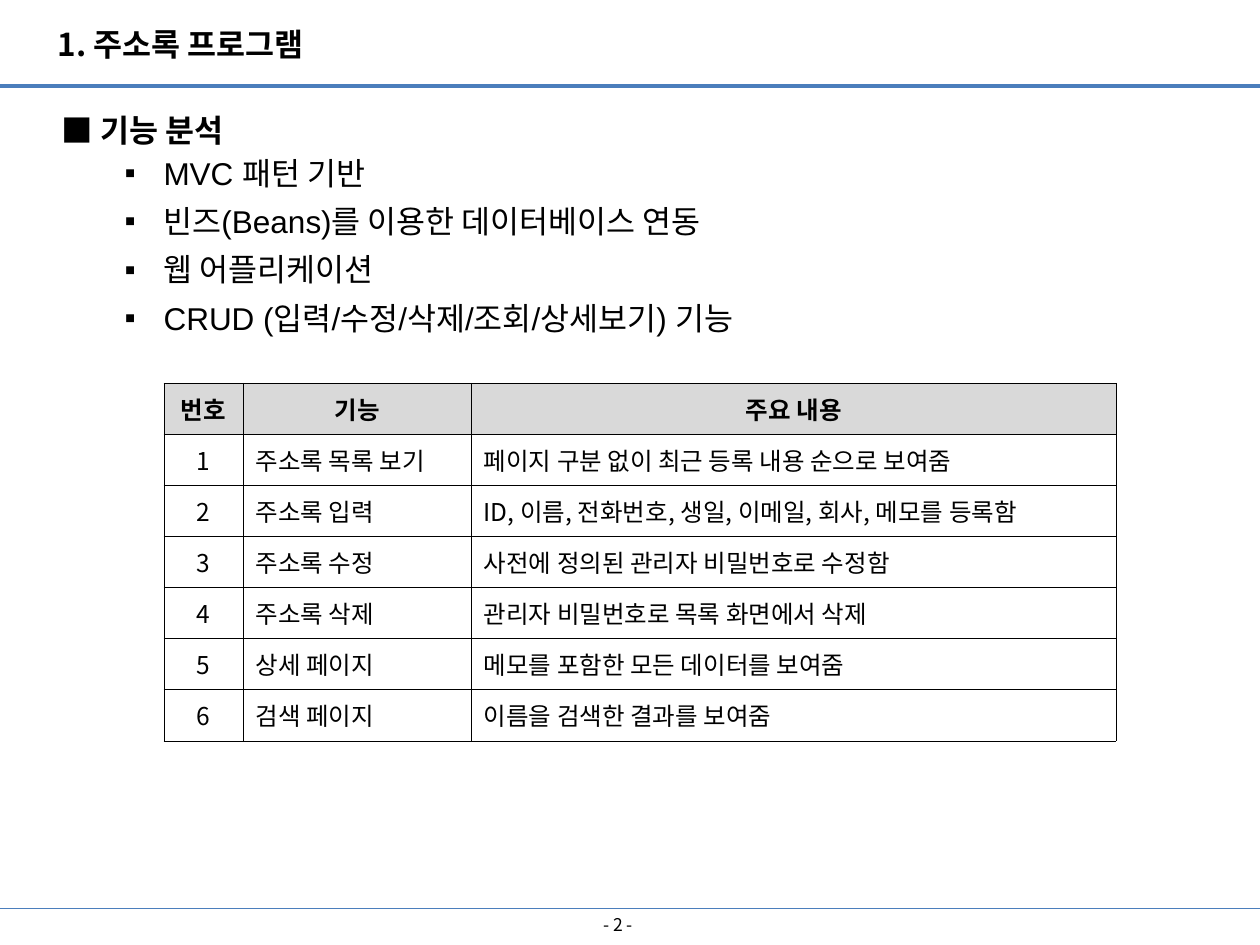
"""Build the address book feature analysis slide."""
from lxml.etree import SubElement
from pptx import Presentation
from pptx.dml.color import RGBColor
from pptx.enum.shapes import MSO_CONNECTOR
from pptx.enum.text import MSO_ANCHOR, MSO_AUTO_SIZE, PP_ALIGN
from pptx.oxml import parse_xml
from pptx.oxml.ns import nsdecls, qn
from pptx.util import Inches, Pt

KOREAN = "Noto Sans CJK KR"


def color(hex_string):
    return RGBColor.from_string(hex_string)


def add_run(p, text, size, bold=False, font=KOREAN):
    r = p.add_run()
    r.text = text
    r.font.size = Pt(size)
    r.font.bold = bold
    r.font.name = font
    r.font.color.rgb = color("000000")
    SubElement(r.font._element, qn("a:ea")).set("typeface", KOREAN)


prs = Presentation()
prs.slide_width, prs.slide_height = Inches(10), Inches(7.5)
s = prs.slides.add_slide(prs.slide_layouts[5])

for y, width in [(0.68, 2.25), (7.21, 0.75)]:
    line = s.shapes.add_connector(
        MSO_CONNECTOR.STRAIGHT, 0, Inches(y), Inches(10), Inches(y))
    line.line.color.rgb = color("4B7EBC")
    line.line.width = Pt(width)
    SubElement(line._element.spPr, qn("a:effectLst"))

title = s.shapes.title
title.left, title.top = Inches(0.36), Inches(0.15)
title.width, title.height = Inches(2.36), Inches(0.4)
tf = title.text_frame
tf.word_wrap = False
tf.auto_size = MSO_AUTO_SIZE.NONE
tf.vertical_anchor = MSO_ANCHOR.TOP
p = tf.paragraphs[0]
p.alignment = PP_ALIGN.LEFT
add_run(p, "1. 주소록 프로그램", 18, True)

features = [
    "MVC 패턴 기반",
    "빈즈(Beans)를 이용한 데이터베이스 연동",
    "웹 어플리케이션",
    "CRUD (입력/수정/삭제/조회/상세보기) 기능",
]
sp = s.shapes.add_textbox(Inches(0.39), Inches(0.68), Inches(5.96), Inches(2.41))
tf = sp.text_frame
tf.word_wrap = True
p = tf.paragraphs[0]
p.line_spacing = 1.5
add_run(p, "■ 기능 분석", 18, True, "Arial")
for feature in features:
    p = tf.add_paragraph()
    p.level = 1
    p.space_before = p.space_after = Pt(3)
    pPr = p._p.get_or_add_pPr()
    pPr.set("marL", str(Inches(0.81)))
    pPr.set("indent", str(Inches(-0.31)))
    SubElement(pPr, qn("a:buFont")).set("typeface", "Arial")
    SubElement(pPr, qn("a:buChar")).set("char", "▪")
    add_run(p, feature, 18, font="Arial")

sp = s.shapes.add_textbox(Inches(3.74), Inches(7.21), Inches(2.33), Inches(0.26))
tf = sp.text_frame
tf.word_wrap = True
tf.vertical_anchor = MSO_ANCHOR.MIDDLE
p = tf.paragraphs[0]
p.alignment = PP_ALIGN.CENTER
add_run(p, "- 2 -", 10)

rows = [
    ("번호", "기능", "주요 내용"),
    ("1", "주소록 목록 보기", "페이지 구분 없이 최근 등록 내용 순으로 보여줌"),
    ("2", "주소록 입력", "ID, 이름, 전화번호, 생일, 이메일, 회사, 메모를 등록함"),
    ("3", "주소록 수정", "사전에 정의된 관리자 비밀번호로 수정함"),
    ("4", "주소록 삭제", "관리자 비밀번호로 목록 화면에서 삭제"),
    ("5", "상세 페이지", "메모를 포함한 모든 데이터를 보여줌"),
    ("6", "검색 페이지", "이름을 검색한 결과를 보여줌"),
]
table = s.shapes.add_table(
    len(rows), 3, Inches(1.3), Inches(3.04), Inches(7.56), Inches(2.84)).table
for column, width in zip(table.columns, [0.63, 1.81, 5.12]):
    column.width = Inches(width)
for i, row in enumerate(rows):
    for j, text in enumerate(row):
        cell = table.cell(i, j)
        cell.vertical_anchor = MSO_ANCHOR.MIDDLE
        tcPr = cell._tc.get_or_add_tcPr()
        for side in "LRTB":
            tcPr.append(parse_xml(
                f'<a:ln{side} {nsdecls("a")} w="{Pt(0.25)}"><a:solidFill>'
                f'<a:srgbClr val="000000"/></a:solidFill></a:ln{side}>'))
        if i == 0:
            cell.fill.solid()
            cell.fill.fore_color.rgb = color("D9D9D9")
        else:
            cell.fill.background()
        p = cell.text_frame.paragraphs[0]
        p.alignment = PP_ALIGN.CENTER if i == 0 or j == 0 else PP_ALIGN.LEFT
        add_run(p, text, 14, i == 0)

prs.save("out.pptx")
